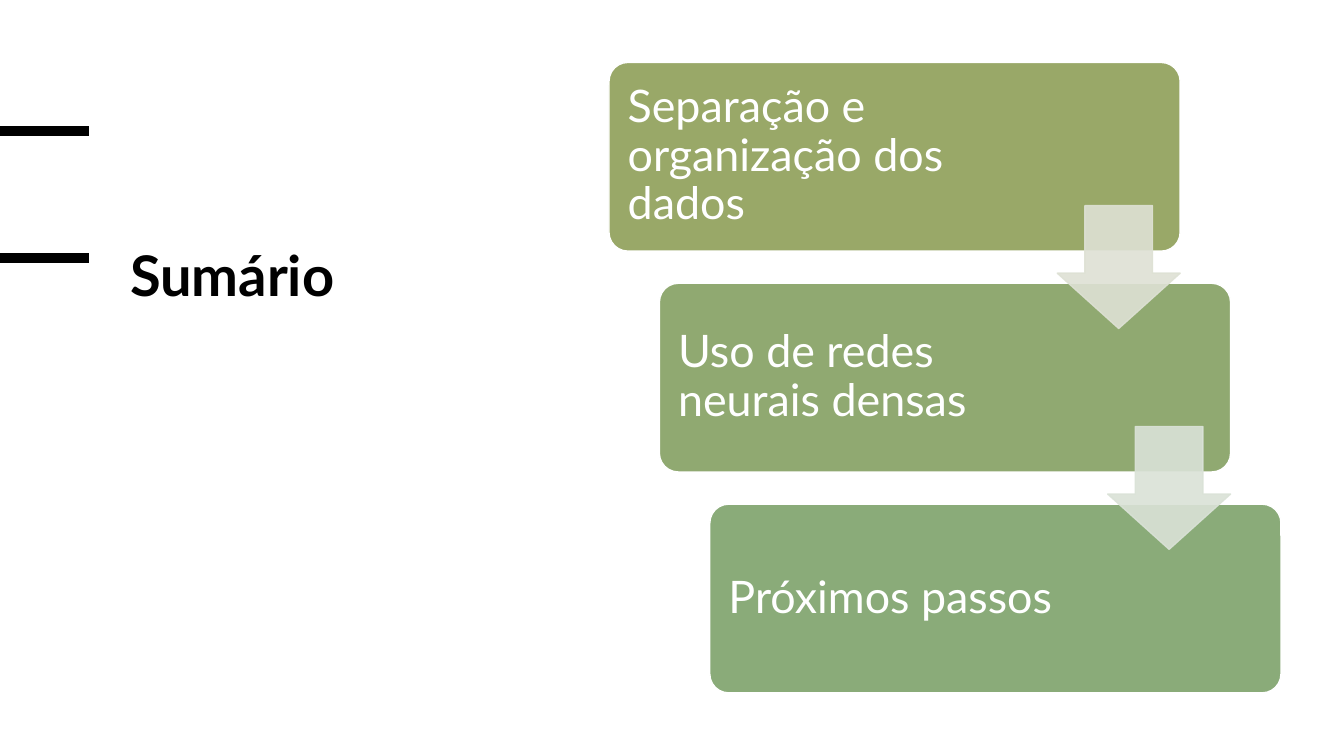
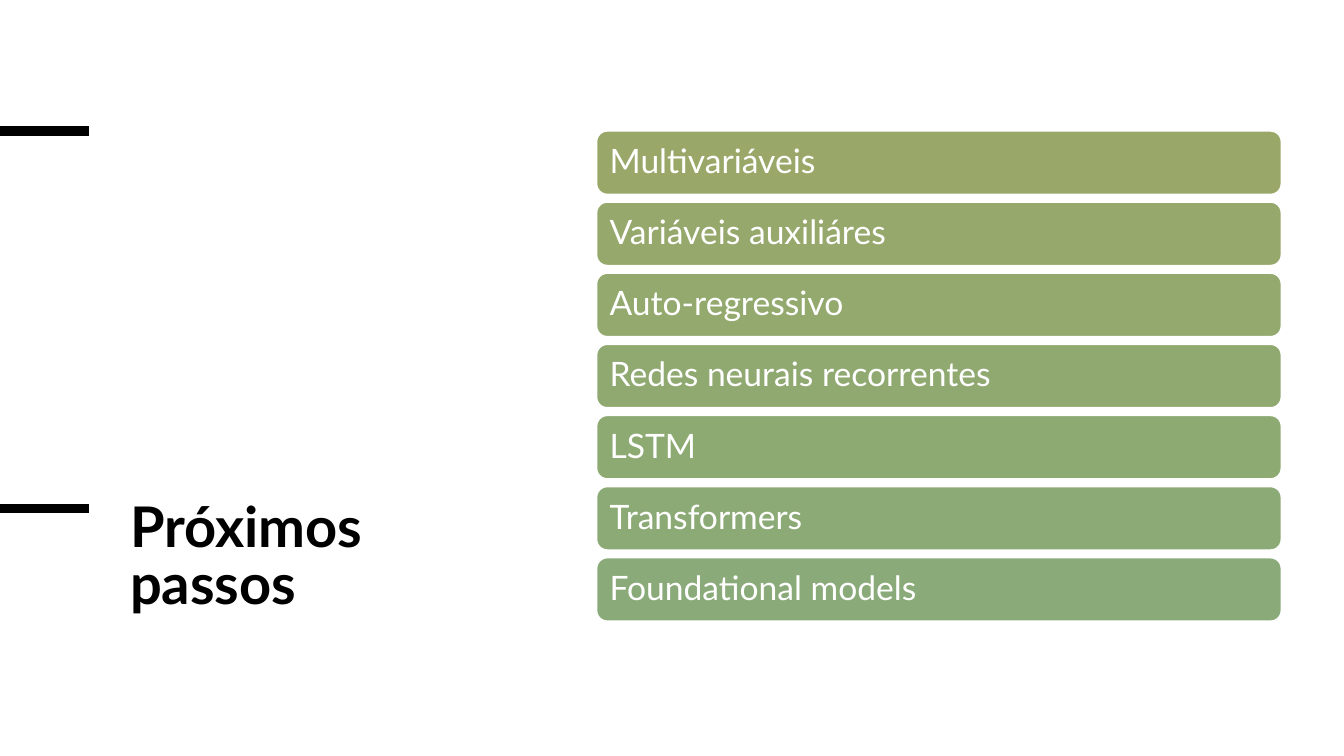
from lxml import etree
from pptx import Presentation
from pptx.dml.color import RGBColor
from pptx.enum.shapes import MSO_CONNECTOR, MSO_SHAPE
from pptx.enum.text import MSO_ANCHOR, MSO_AUTO_SIZE, PP_ALIGN
from pptx.oxml.ns import qn
from pptx.util import Pt

ROUNDED = MSO_SHAPE.ROUNDED_RECTANGLE
DOWN_ARROW = MSO_SHAPE.DOWN_ARROW
STRAIGHT = MSO_CONNECTOR.STRAIGHT
TOP, MIDDLE = MSO_ANCHOR.TOP, MSO_ANCHOR.MIDDLE
LEFT = PP_ALIGN.LEFT
NO_AUTOFIT = MSO_AUTO_SIZE.NONE

FONT = "Lato"
COLORS = {
    "ink": "000000",
    "white": "FFFFFF",
    "olive": "99A868",
    "olive_soft": "96A86B",
    "moss": "93A96E",
    "green": "90A971",
    "green_soft": "8EAA73",
    "sage": "8CAA76",
    "teal": "8AAB79",
    "arrow_olive": "DEE1D4",
    "arrow_green": "DAE2D7",
}
TITLE_ONLY = 5
RULE_TOP, RULE_LENGTH = 93.6, 63.4

SUMMARY_STEPS = [
    ("Separação e organização dos dados", "olive"),
    ("Uso de redes neurais densas", "green"),
    ("Próximos passos", "teal"),
]
STEP_ARROWS = ["arrow_olive", "arrow_green"]
NEXT_STEPS = [
    ("Multivariáveis", "olive"),
    ("Variáveis auxiliáres", "olive_soft"),
    ("Auto-regressivo", "moss"),
    ("Redes neurais recorrentes", "green"),
    ("LSTM", "green_soft"),
    ("Transformers", "sage"),
    ("Foundational models", "teal"),
]


def rgb(name):
    return RGBColor.from_string(COLORS[name])


def write(frame, text, *, size, color, bold=False, spacing=0.9, anchor=MIDDLE,
          insets=(7.2, 3.6, 7.2, 3.6)):
    """Fill a text frame; insets run left, top, right, bottom in points."""
    frame.word_wrap = True
    frame.auto_size = NO_AUTOFIT
    frame.vertical_anchor = anchor
    (frame.margin_left, frame.margin_top,
     frame.margin_right, frame.margin_bottom) = map(Pt, insets)
    paragraph = frame.paragraphs[0]
    paragraph.alignment = LEFT
    paragraph.line_spacing = spacing
    run = paragraph.add_run()
    run.text = text
    run.font.name = FONT
    run.font.size = Pt(size)
    run.font.bold = bold
    run.font.color.rgb = rgb(color)


def add_rule(slide, top, width=6.75):
    """Draw a thick bar from the left slide edge."""
    rule = slide.shapes.add_connector(
        STRAIGHT, Pt(0), Pt(top), Pt(RULE_LENGTH), Pt(top))
    rule.line.color.rgb = rgb("ink")
    rule.line.width = Pt(width)
    etree.SubElement(rule.element.spPr, qn("a:effectLst"))
    return rule


def add_block(slide, preset, left, top, width, height, fill, outline,
              adjustments=()):
    block = slide.shapes.add_shape(
        preset, Pt(left), Pt(top), Pt(width), Pt(height))
    block.shadow.inherit = False
    block.fill.solid()
    block.fill.fore_color.rgb = rgb(fill)
    block.line.color.rgb = rgb(outline)
    block.line.width = Pt(1)
    for index, value in enumerate(adjustments):
        block.adjustments[index] = value
    return block


def make_translucent(shape, percent):
    for color in shape.element.spPr.iter(qn("a:srgbClr")):
        etree.SubElement(color, qn("a:alpha"), val=str(percent * 1000))


def add_titled_slide(prs, title, top, height):
    slide = prs.slides.add_slide(prs.slide_layouts[TITLE_ONLY])
    heading = slide.shapes.title
    heading.left, heading.top = Pt(85.7), Pt(top)
    heading.width, heading.height = Pt(298), Pt(height)
    write(heading.text_frame, title, size=40, color="ink", bold=True,
          spacing=0.85, anchor=TOP)
    return slide


def share_top_rule(prs, slide):
    """Move the upper rule to the layout, so that every slide shows it."""
    rule = add_rule(slide, RULE_TOP)
    prs.slide_layouts[TITLE_ONLY].shapes.element.append(rule.element)


def add_staircase(slide):
    left, top, width, height = 435, 44.6, 408, 134.8
    shift, pitch = 36, 157.75
    arrow_size, arrow_drop = 87.8, 102.25
    for index, (label, fill) in enumerate(SUMMARY_STEPS):
        card = add_block(slide, ROUNDED, left + index * shift,
                         top + index * pitch, width, height, fill, "white",
                         (0.1,))
        write(card.text_frame, label, size=32, color="white",
              insets=(9.4, 9.4, 140, 9.4))
    for index, tint in enumerate(STEP_ARROWS):
        arrow = add_block(slide, DOWN_ARROW,
                          left + index * shift + width - arrow_size,
                          top + index * pitch + arrow_drop,
                          arrow_size, arrow_size, tint, tint, (0.55, 0.45))
        make_translucent(arrow, 90)


def add_bar_list(slide):
    left, top, width, height, pitch = 426.2, 93.6, 489, 45.2, 50.8
    for index, (label, fill) in enumerate(NEXT_STEPS):
        bar = add_block(slide, ROUNDED, left, top + index * pitch,
                        width, height, fill, "white")
        write(bar.text_frame, label, size=24, color="white",
              insets=(7.2, 0, 7.2, 0))


def main():
    prs = Presentation()
    prs.slide_width, prs.slide_height = Pt(960), Pt(540)

    summary = add_titled_slide(prs, "Sumário", 175.7, 264)
    share_top_rule(prs, summary)
    add_rule(summary, 184.3)
    add_staircase(summary)

    outlook = add_titled_slide(prs, "Próximos passos", 355, 141)
    add_rule(outlook, 363, width=6.5)
    add_bar_list(outlook)

    prs.save("out.pptx")


if __name__ == "__main__":
    main()
